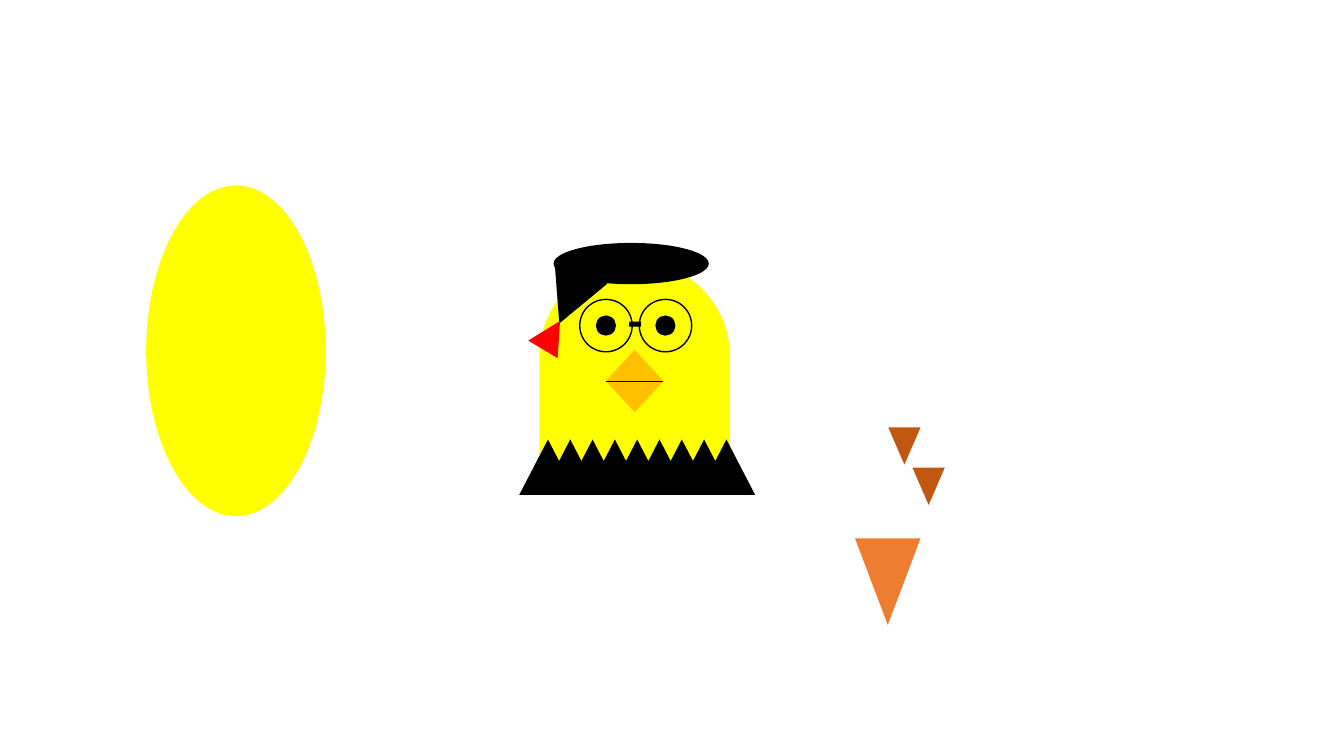
from lxml.etree import SubElement
from pptx import Presentation
from pptx.dml.color import RGBColor
from pptx.enum.shapes import MSO_CONNECTOR as CONNECTOR, MSO_SHAPE as SHAPE
from pptx.oxml.ns import qn
from pptx.util import Inches, Pt

BLACK, YELLOW, RED = "000000", "FFFF00", "FF0000"
BEAK, ORANGE, BROWN = "FFC000", "ED7D31", "C15811"


def color(hex_text):
    return RGBColor.from_string(hex_text)


def add_part(shapes, kind, left, top, width, height, fill=None, line=None,
             line_width=1, rotation=0):
    """Add a flat preset shape; without a fill or line colour it has none."""
    shape = shapes.add_shape(kind, Inches(left), Inches(top),
                             Inches(width), Inches(height))
    shape.shadow.inherit = False
    shape.rotation = rotation
    if fill:
        shape.fill.solid()
        shape.fill.fore_color.rgb = color(fill)
    else:
        shape.fill.background()
    if line:
        shape.line.color.rgb = color(line)
        shape.line.width = Pt(line_width)
    else:
        shape.line.fill.background()
    return shape


def add_line(shapes, x1, y1, x2, y2, line, line_width):
    connector = shapes.add_connector(CONNECTOR.STRAIGHT, Inches(x1), Inches(y1),
                                     Inches(x2), Inches(y2))
    connector.line.color.rgb = color(line)
    connector.line.width = Pt(line_width)
    SubElement(connector._element.spPr, qn("a:effectLst"))


def add_egg(shapes, left, top, width, height):
    add_part(shapes, SHAPE.OVAL, left, top, width, height, YELLOW)


def add_spare_triangles(shapes, left, top):
    # One large and two small triangles, all pointing down
    for dx, dy, width, height, fill in [(0, 1.1, 0.65, 0.86, ORANGE),
                                        (0.33, 0, 0.32, 0.37, BROWN),
                                        (0.57, 0.4, 0.32, 0.37, BROWN)]:
        add_part(shapes, SHAPE.ISOSCELES_TRIANGLE, left + dx, top + dy,
                 width, height, fill, rotation=180)


def add_beak(shapes, left, top, width, height):
    half = height / 2
    for row, rotation in enumerate((0, 180)):
        add_part(shapes, SHAPE.ISOSCELES_TRIANGLE, left, top + row * half,
                 width, half, BEAK, rotation=rotation)
    add_line(shapes, left, top + half, left + width, top + half, BLACK, 0.5)


def add_collar(shapes, left, top, width, height, count=9, spike=0.57):
    step = (width - spike) / (count - 1)
    for index in range(count):
        add_part(shapes, SHAPE.ISOSCELES_TRIANGLE, left + index * step, top,
                 spike, height, BLACK)


def add_hat(shapes, left, top):
    # Brim, hanging point and red tassel
    add_part(shapes, SHAPE.OVAL, left + 0.19, top, 1.54, 0.41, BLACK)
    add_part(shapes, SHAPE.ISOSCELES_TRIANGLE, left + 0.07, top + 0.27,
             0.57, 0.55, BLACK, rotation=203)
    add_part(shapes, SHAPE.ISOSCELES_TRIANGLE, left, top + 0.75,
             0.34, 0.33, RED, rotation=31)


def add_glasses(shapes, left, top, lens=0.52, spacing=0.59):
    for x in (left + spacing, left):
        add_part(shapes, SHAPE.OVAL, x, top, lens, lens, line=BLACK)
    # Bridge
    add_part(shapes, SHAPE.RECTANGLE, left + 0.49, top + 0.22, 0.12, 0.05, BLACK)


def add_chick(slide, left, top):
    shapes = slide.shapes.add_group_shape().shapes
    # Body
    body = add_part(shapes, SHAPE.ROUND_2_SAME_RECTANGLE, left + 0.2, top + 0.18,
                    1.89, 2.32, YELLOW)
    body.adjustments[0], body.adjustments[1] = 0.5, 0
    add_beak(shapes, left + 0.86, top + 1.06, 0.57, 0.62)
    # Pupils
    for x in (0.76, 1.35):
        add_part(shapes, SHAPE.OVAL, left + x, top + 0.72, 0.2, 0.2, BLACK)
    add_collar(shapes, left, top + 1.95, 2.34, 0.55)
    add_hat(shapes, left + 0.15, top)
    add_glasses(shapes, left + 0.6, top + 0.56)


presentation = Presentation()
presentation.slide_width = Inches(13.33)
presentation.slide_height = Inches(7.5)
slide = presentation.slides.add_slide(presentation.slide_layouts[6])

add_egg(slide.shapes, 1.45, 1.84, 1.78, 3.28)
add_spare_triangles(slide.shapes, 8.48, 4.24)
add_chick(slide, 5.15, 2.41)

presentation.save("out.pptx")
